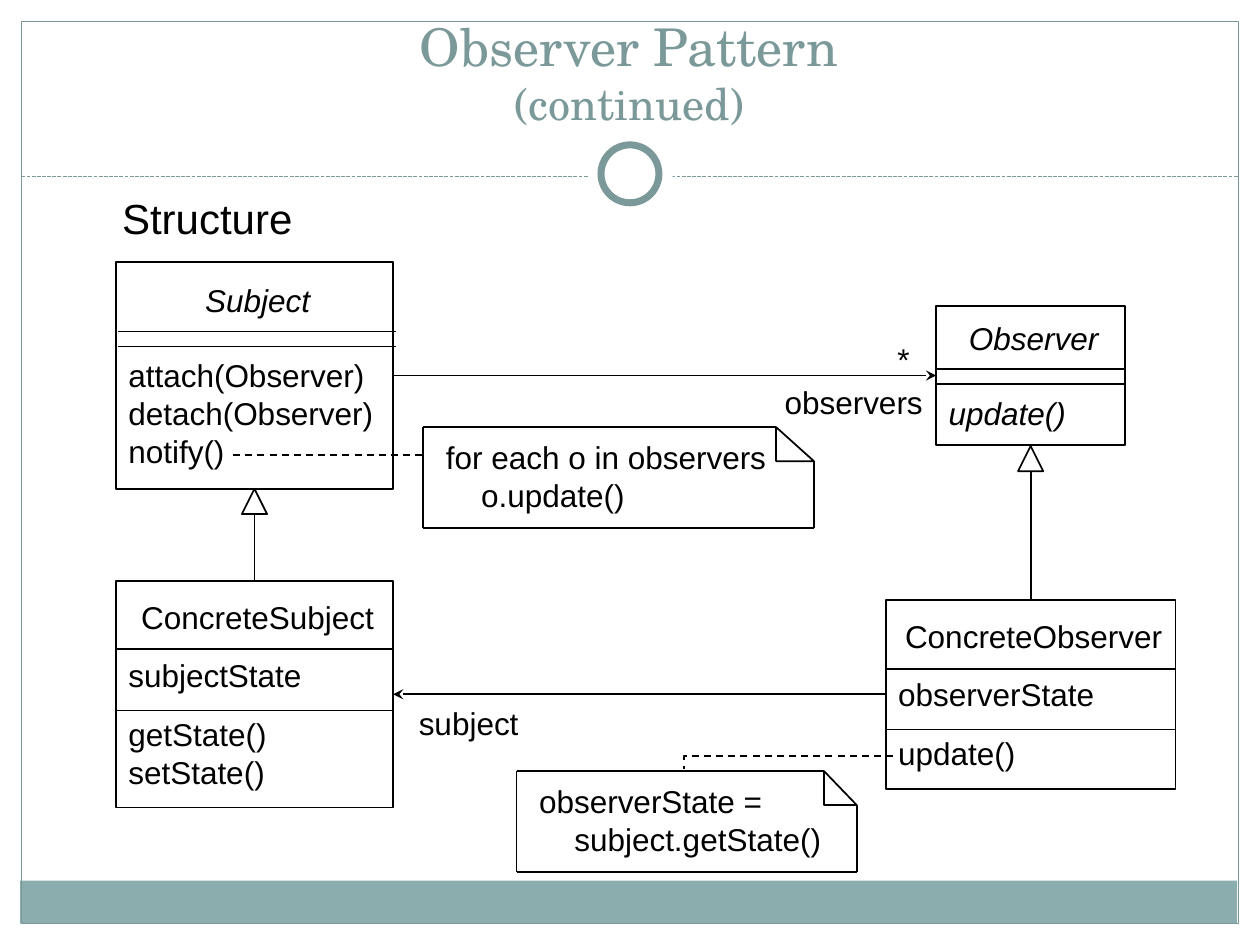
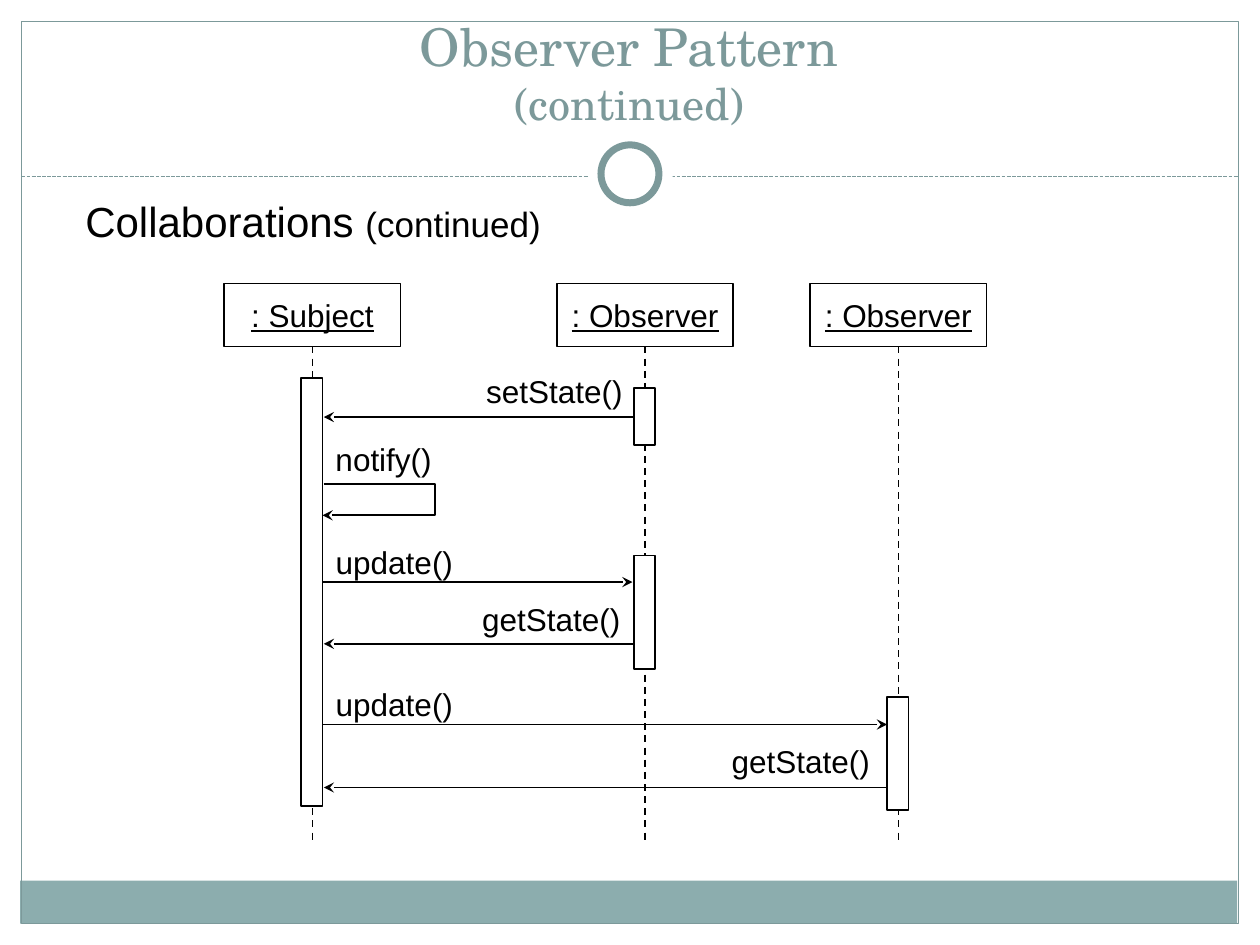
from lxml import etree
from pptx import Presentation
from pptx.dml.color import RGBColor
from pptx.enum.dml import MSO_LINE
from pptx.enum.shapes import MSO_CONNECTOR as CONN, MSO_SHAPE as SHAPE
from pptx.enum.text import MSO_ANCHOR as ANCHOR, MSO_AUTO_SIZE as FIT, PP_ALIGN as ALIGN
from pptx.oxml.ns import qn
from pptx.util import Inches, Pt

COLORS = {"teal": "7C999A", "band": "8CADAE", "white": "FFFFFF", "ink": "000000"}
RGB = {name: RGBColor.from_string(value) for name, value in COLORS.items()}


def add_box(s, kind, x, y, w, h, fill=None, line="ink", width=1, paras=(), anchor=ANCHOR.MIDDLE, wrap=True):
    sp = s.shapes.add_shape(kind, Inches(x), Inches(y), Inches(w), Inches(h))
    sp.shadow.inherit = False
    if fill:
        sp.fill.solid()
        sp.fill.fore_color.rgb = RGB[fill]
    else:
        sp.fill.background()
    if line:
        sp.line.color.rgb = RGB[line]
        sp.line.width = Pt(width)
    else:
        sp.line.fill.background()
    tf = sp.text_frame
    tf.word_wrap = wrap
    tf.vertical_anchor = anchor
    tf.margin_right = Inches(0.05) if wrap else Inches(0.1)
    for i, (align, before, indent, runs) in enumerate(paras):
        p = tf.paragraphs[0] if i == 0 else tf.add_paragraph()
        p.alignment = align
        p.space_before = Pt(before)
        if indent:
            p._p.get_or_add_pPr().set("marL", str(Inches(indent)))
        for text, size, style in runs:
            r = p.add_run()
            r.text = text
            r.font.name = "Arial"
            r.font.size = Pt(size)
            r.font.color.rgb = RGB["ink"]
            r.font.italic = style == "italic"
            r.font.underline = style == "underline"
    return sp


def add_line(s, x1, y1, x2, y2, arrow=False, dash=None, color="ink", width=1, kind=CONN.STRAIGHT):
    c = s.shapes.add_connector(kind, Inches(x1), Inches(y1), Inches(x2), Inches(y2))
    c.line.color.rgb = RGB[color]
    c.line.width = Pt(width)
    if dash:
        c.line.dash_style = dash
    if arrow:
        etree.SubElement(c.line._get_or_add_ln(), qn("a:tailEnd"), type="stealth")
    etree.SubElement(c.element.spPr, qn("a:effectLst"))
    return c


prs = Presentation()
prs.slide_width = Inches(10)
prs.slide_height = Inches(7.5)
layout = prs.slide_layouts[5]
structure = prs.slides.add_slide(layout)
sequence = prs.slides.add_slide(layout)

frame = [
    add_box(structure, SHAPE.RECTANGLE, 0.16, 6.99, 9.66, 0.34, "band", None),
    add_box(structure, SHAPE.RECTANGLE, 0.17, 0.17, 9.66, 7.16, None, "teal", 0.75),
    add_line(structure, 0.17, 1.4, 9.83, 1.4, dash=MSO_LINE.SQUARE_DOT, color="teal", width=0.75),
    add_box(structure, SHAPE.OVAL, 4.67, 1.05, 0.67, 0.67, "white", None),
    add_box(structure, SHAPE.OVAL, 4.77, 1.15, 0.46, 0.46, "white", "teal", 4),
]
frame[2].element.spPr.find(qn("a:ln")).find(qn("a:prstDash")).set("val", "sysDash")
for i, sp in enumerate(frame):
    layout.shapes.element.insert(2 + i, sp.element)

for s in (structure, sequence):
    title = s.shapes.title
    title.left, title.top = Inches(0.33), Inches(0.25)
    title.width, title.height = Inches(9.33), Inches(0.83)
    tf = title.text_frame
    tf.auto_size = FIT.NONE
    tf.word_wrap = True
    tf.vertical_anchor = ANCHOR.BOTTOM
    p = tf.paragraphs[0]
    p.alignment = ALIGN.CENTER
    for text, size in (("Observer Pattern", 29.7), ("(continued)", 25.2)):
        if p.runs:
            p.add_line_break()
        r = p.add_run()
        r.text = text
        r.font.name = "TeX Gyre Schola"
        r.font.size = Pt(size)
        r.font.color.rgb = RGB["teal"]

s = structure
classes = [
    (0.92, 2.08, 2.2, 1.8, 0.02, (2.63, 2.75),
     [("Subject", 0, "italic"), ("attach(Observer)", 21, None), ("detach(Observer)", 0, None), ("notify()", 0, None)]),
    (0.92, 4.61, 2.2, 1.8, 0, (5.15, 5.64),
     [("ConcreteSubject", 0, None), ("subjectState", 12, None), ("getState()", 12, None), ("setState()", 0, None)]),
    (7.43, 2.43, 1.5, 1.1, 0, (2.93, 3.05),
     [("Observer", 0, "italic"), ("update()", 21, "italic")]),
    (7.03, 4.76, 2.3, 1.5, 0, (5.31, 5.79),
     [("ConcreteObserver", 0, None), ("observerState", 12, None), ("update()", 12, None)]),
]
for x, y, w, h, shift, dividers, rows in classes:
    paras = [(ALIGN.LEFT if i else ALIGN.CENTER, before, 0, [(text, 18, style)])
             for i, (text, before, style) in enumerate(rows)]
    add_box(s, SHAPE.RECTANGLE, x, y, w, h, paras=paras)
    for divider in dividers:
        add_line(s, x + shift, divider, x + w + shift, divider)

for x, top, bottom in ((2.02, 3.88, 4.61), (8.18, 3.54, 4.76)):
    add_box(s, SHAPE.ISOSCELES_TRIANGLE, x - 0.1, top, 0.2, 0.2)
    add_line(s, x, top + 0.2, x, bottom)

notes = [
    (3.36, 3.39, 3.1, 0.3, ("for each o in observers", "o.update()")),
    (4.1, 6.12, 2.7, 0.26, ("observerState =", "subject.getState()")),
]
for x, y, w, fold, (first, second) in notes:
    right, bottom = x + w, y + 0.8
    add_box(s, SHAPE.RECTANGLE, x + 0.08, y - 0.01, w - 0.1, 0.8, line=None, paras=[
        (ALIGN.LEFT, 0, 0, [(first, 18, None)]),
        (ALIGN.LEFT, 0, 0.28, [(second, 18, None)])])
    add_box(s, SHAPE.RIGHT_TRIANGLE, right - fold, y, fold, 0.27)
    add_line(s, x, y, x, bottom)
    add_line(s, x, bottom, right, bottom)
    add_line(s, x, y, right - fold, y)
    add_line(s, right, y + 0.27, right, bottom)

add_line(s, 3.12, 2.98, 7.43, 2.98, arrow=True)
add_line(s, 7.03, 5.51, 3.12, 5.51, arrow=True)
add_line(s, 1.85, 3.61, 3.35, 3.61, dash=MSO_LINE.DASH)
c = add_line(s, 7.09, 6, 5.43, 6.1, dash=MSO_LINE.DASH, kind=CONN.ELBOW)
c.element.spPr.find(qn("a:prstGeom")).set("prst", "bentConnector2")

s = sequence
lifelines = [(2.48, ": Subject"), (5.12, ": Observer"), (7.13, ": Observer")]
for x, name in lifelines:
    add_box(s, SHAPE.RECTANGLE, x - 0.7, 2.25, 1.4, 0.5, wrap=False,
            paras=[(ALIGN.CENTER, 0, 0, [(name, 18, "underline")])])
    add_line(s, x, 2.75, x, 6.67, dash=MSO_LINE.DASH)

messages = [(5.07, 2.57, 3.31), (2.52, 5.02, 4.62), (5.17, 2.57, 5.11), (2.54, 7.04, 5.75), (7.07, 2.57, 6.25)]
for start, end, y in messages:
    add_line(s, start, y, end, y, arrow=True)
c = add_line(s, 2.57, 3.84, 2.56, 4.09, arrow=True, kind=CONN.ELBOW)
guides = c.element.spPr.find(qn("a:prstGeom")).get_or_add_avLst()
etree.SubElement(guides, qn("a:gd"), name="adj1", fmla="val -9000000")

for x, y, h in ((2.48, 3, 3.4), (5.12, 3.08, 0.45), (5.12, 4.41, 0.9), (7.13, 5.53, 0.9)):
    add_box(s, SHAPE.RECTANGLE, x - 0.09, y, 0.17, h, "white")

labels = [
    (structure, 0.86, 1.48, 1.57, 0.5, [("Structure", 24, None)]),
    (structure, 7.02, 2.65, 0.3, 0.4, [("*", 18, None)]),
    (structure, 6.12, 2.99, 1.31, 0.4, [("observers", 18, None)]),
    (structure, 3.22, 5.54, 1, 0.4, [("subject", 18, None)]),
    (sequence, 0.56, 1.5, 3.85, 0.5, [("Collaborations ", 24, None), ("(continued)", 20, None)]),
    (sequence, 3.75, 2.9, 1.3, 0.4, [("setState()", 18, None)]),
    (sequence, 2.56, 3.44, 0.97, 0.4, [("notify()", 18, None)]),
    (sequence, 2.56, 4.26, 1.14, 0.4, [("update()", 18, None)]),
    (sequence, 3.72, 4.71, 1.31, 0.4, [("getState()", 18, None)]),
    (sequence, 2.56, 5.39, 1.14, 0.4, [("update()", 18, None)]),
    (sequence, 5.7, 5.84, 1.31, 0.4, [("getState()", 18, None)]),
]
for s, x, y, w, h, runs in labels:
    add_box(s, SHAPE.RECTANGLE, x, y, w, h, line=None, wrap=False, paras=[(ALIGN.CENTER, 0, 0, runs)])

prs.save("out.pptx")
